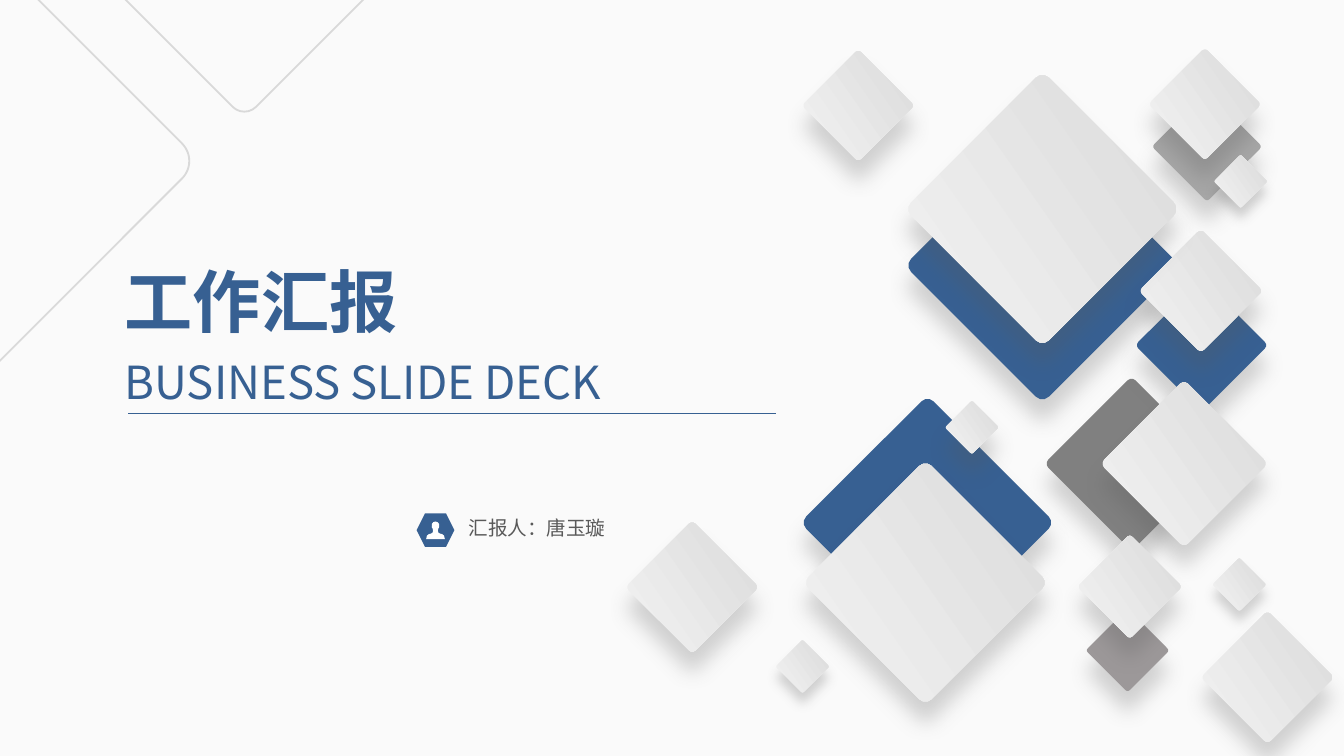
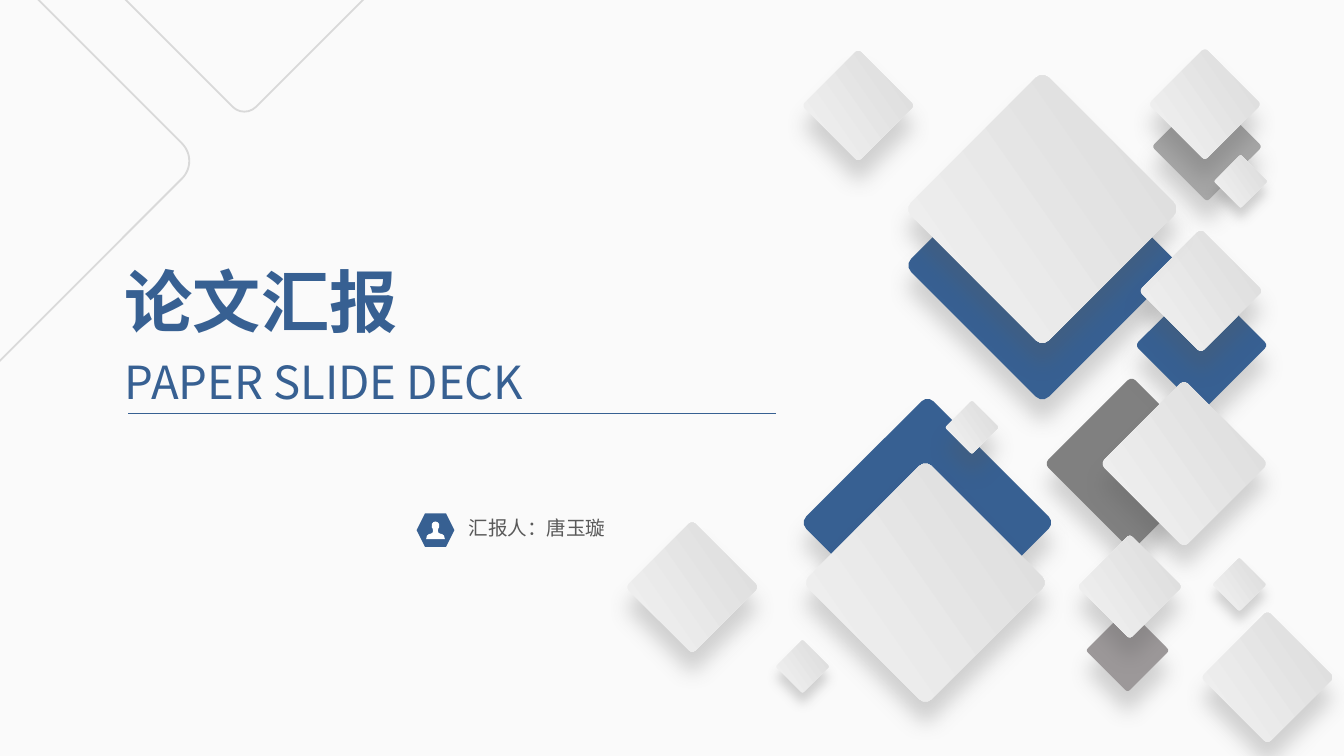
from lxml.etree import SubElement
from pptx import Presentation
from pptx.dml.color import RGBColor
from pptx.enum.shapes import MSO_CONNECTOR, MSO_SHAPE
from pptx.enum.text import MSO_AUTO_SIZE
from pptx.oxml.ns import qn
from pptx.util import Pt

FONT = "Noto Sans CJK SC"
BLUE = "376092"
DARK_GRAY = "595959"
PALE = ("F2F2F2", "DBDBDB")
BACKGROUND = ("FAFAFA", "FCFCFC")

BACK_DIAMONDS = [
    (588.2, 332.6, 31.7, "9C9899"),
    (506.2, 90, 104.4, BLUE),
    (448.6, 231.8, 96.5, BLUE),
    (573.1, 215.3, 66.2, "808080"),
    (618.5, 159.8, 50.4, BLUE),
    (625.7, 57.6, 41.8, "A6A6A6"),
]
CORNER_OUTLINES = [(-95, 7.2, 169.2, 162.7), (76.3, -68.4, 112.3, 108)]
PALE_DIAMONDS = [
    (438.5, 35.3, 42.5, 11),
    (624.2, 34.6, 42.5, 11),
    (619.9, 132.5, 46.8, 11),
    (506.2, 59.8, 104.4, 11),
    (602.6, 216.7, 63.4, 11),
    (449.3, 265.7, 92.9, 11),
    (345.6, 289.4, 50.4, 11),
    (653.8, 337.7, 50.4, 11),
    (585.4, 294.5, 39.6, 11),
    (419.8, 347, 20.2, 6),
    (653.8, 303.1, 20.2, 6),
    (654.5, 87.1, 20.2, 6),
    (510.5, 218.9, 20.2, 11),
]
PERSON_HALF = [
    (0, 0), (1.2, 0.4), (1.9, 1.3), (1.9, 2.2), (2, 3), (1.5, 3.8),
    (1.3, 4.9), (1.5, 5.9), (2.2, 6.4), (3.6, 6.8), (4.6, 7.6), (5, 9.4),
]
COVERS = [("工作汇报", "BUSINESS SLIDE DECK"), ("论文汇报", "PAPER SLIDE DECK")]


def color(value):
    """Turn a hex string into a colour."""
    return RGBColor.from_string(value)


def paint(fill, value, angle=0):
    """Fill with one colour, or with a gradient between a pair of colours."""
    if isinstance(value, str):
        fill.solid()
        fill.fore_color.rgb = color(value)
        return
    fill.gradient()
    fill.gradient_angle = angle
    for stop, shade in zip(fill.gradient_stops, value):
        stop.color.rgb = color(shade)


def add_shadow(shape, reach):
    """Drop a soft shadow straight down, as far as it is blurred."""
    effects = shape._element.spPr.find(qn("a:effectLst"))
    shadow = SubElement(effects, qn("a:outerShdw"), blurRad=str(Pt(reach)),
                        dist=str(Pt(reach)), dir="5400000", algn="t", rotWithShape="0")
    shade = SubElement(shadow, qn("a:srgbClr"), val=DARK_GRAY)
    SubElement(shade, qn("a:alpha"), val="25000")


def add_rounded(page, left, top, width, height, rotation, corner):
    """Add a turned rounded rectangle without inherited shadow."""
    shape = page.shapes.add_shape(MSO_SHAPE.ROUNDED_RECTANGLE, Pt(left), Pt(top),
                                  Pt(width), Pt(height))
    shape.rotation = rotation
    shape.adjustments[0] = corner
    shape.shadow.inherit = False
    return shape


def add_diamond(page, left, top, size, fill, reach=11):
    """Add a filled diamond with its shadow."""
    diamond = add_rounded(page, left, top, size, size, 45, 0.048)
    paint(diamond.fill, fill, 80)
    diamond.line.fill.background()
    add_shadow(diamond, reach)


def add_outline(page, left, top, width, height):
    """Add an unfilled rounded outline at the corner of the page."""
    outline = add_rounded(page, left, top, width, height, 315, 0.082)
    outline.fill.background()
    outline.line.color.rgb = color("D9D9D9")
    outline.line.width = Pt(1)


def add_text(page, text, left, top, width, height, *, size, shade=BLUE, bold=False, wrap=True):
    """Add a one-line text box."""
    box = page.shapes.add_textbox(Pt(left), Pt(top), Pt(width), Pt(height))
    box.text_frame.word_wrap = wrap
    box.text_frame.auto_size = MSO_AUTO_SIZE.SHAPE_TO_FIT_TEXT
    span = box.text_frame.paragraphs[0].add_run()
    span.text = text
    span.font.size = Pt(size)
    span.font.bold = bold
    span.font.color.rgb = color(shade)
    span.font.name = FONT
    SubElement(span._r.get_or_add_rPr(), qn("a:ea"), typeface=FONT)


def add_rule(page, start, end, top):
    """Add the thin line under the titles."""
    rule = page.shapes.add_connector(MSO_CONNECTOR.STRAIGHT, Pt(start), Pt(top), Pt(end), Pt(top))
    rule.line.color.rgb = color(BLUE)
    rule.line.width = Pt(0.75)
    SubElement(rule._element.spPr, qn("a:effectLst"))


def add_person_icon(page, left, top, width, height):
    """Add a hexagon with a white bust in it, as one group."""
    group = page.shapes.add_group_shape()
    hexagon = group.shapes.add_shape(MSO_SHAPE.HEXAGON, Pt(left), Pt(top), Pt(width), Pt(height))
    center = left + width / 2
    head = top + 4.4
    mirrored = [(-x, y) for x, y in reversed(PERSON_HALF[1:])]
    points = [(Pt(center + x), Pt(head + y)) for x, y in PERSON_HALF + mirrored]
    builder = group.shapes.build_freeform(*points[0])
    builder.add_line_segments(points[1:], close=True)
    for shape, shade in ((hexagon, BLUE), (builder.convert_to_shape(), "FFFFFF")):
        paint(shape.fill, shade)
        shape.line.fill.background()
        shape.shadow.inherit = False


def add_cover(deck, title, subtitle):
    """Add a cover page with its decoration, titles and reporter."""
    page = deck.slides.add_slide(deck.slide_layouts[6])
    paint(page.background.fill, BACKGROUND, 270)
    for diamond in BACK_DIAMONDS:
        add_diamond(page, *diamond)
    for outline in CORNER_OUTLINES:
        add_outline(page, *outline)
    for left, top, size, reach in PALE_DIAMONDS:
        add_diamond(page, left, top, size, PALE, reach)
    add_text(page, "汇报人：唐玉璇", 244.1, 272.9, 88.6, 20.2,
             size=10.5, shade=DARK_GRAY, wrap=False)
    add_text(page, title, 59.8, 135.4, 578.2, 52.6, size=36.5, bold=True)
    add_text(page, subtitle, 59.8, 185.8, 578.2, 37.4, size=24.4)
    add_rule(page, 415.5, 68.4, 221.6)
    add_person_icon(page, 223.2, 275, 20.2, 18)


def main():
    """Build the deck and save it."""
    deck = Presentation()
    deck.slide_width = Pt(720)
    deck.slide_height = Pt(405)
    for title, subtitle in COVERS:
        add_cover(deck, title, subtitle)
    deck.save("out.pptx")


if __name__ == "__main__":
    main()
